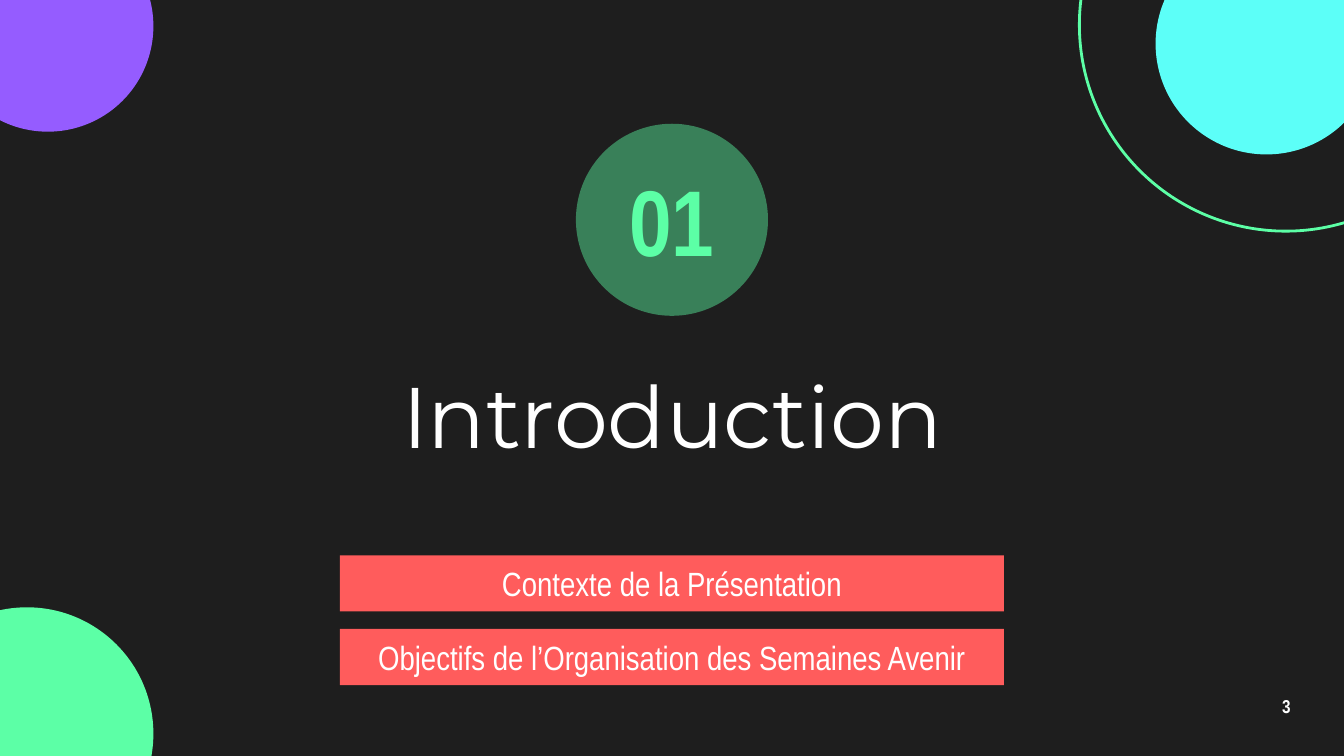
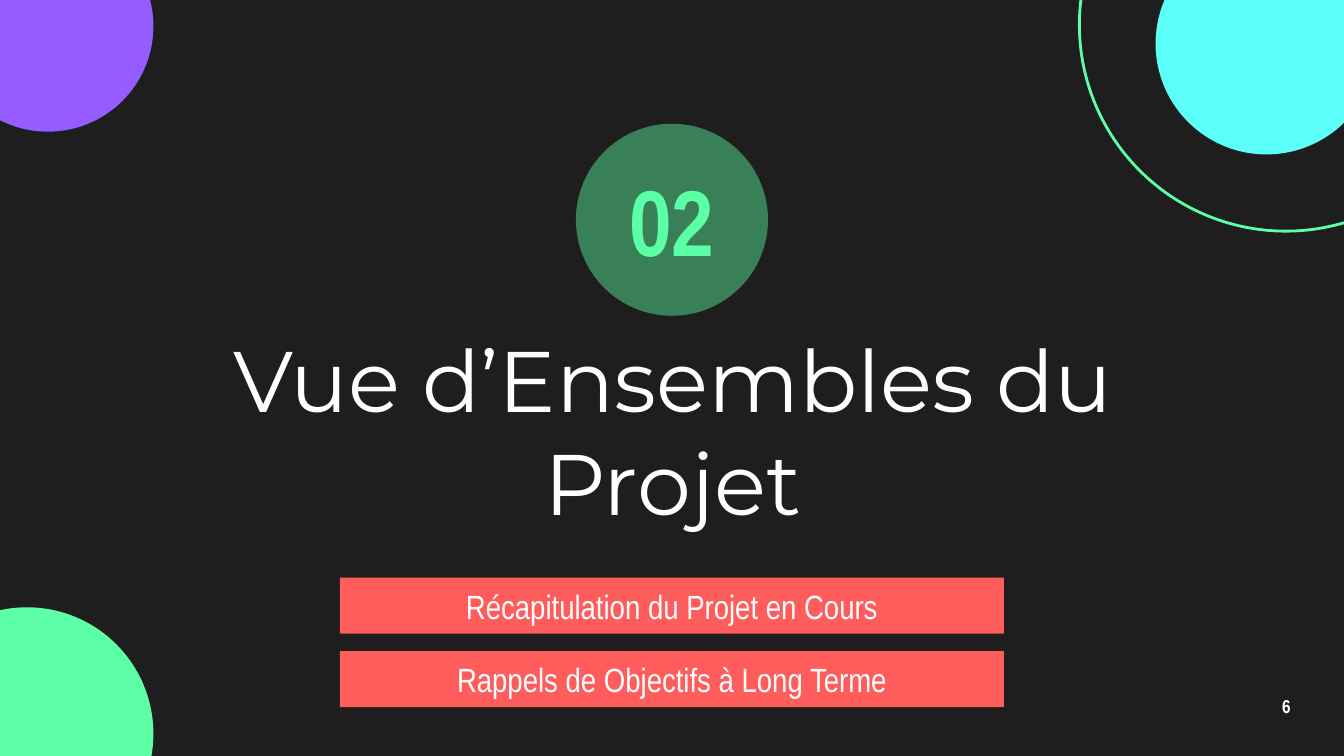
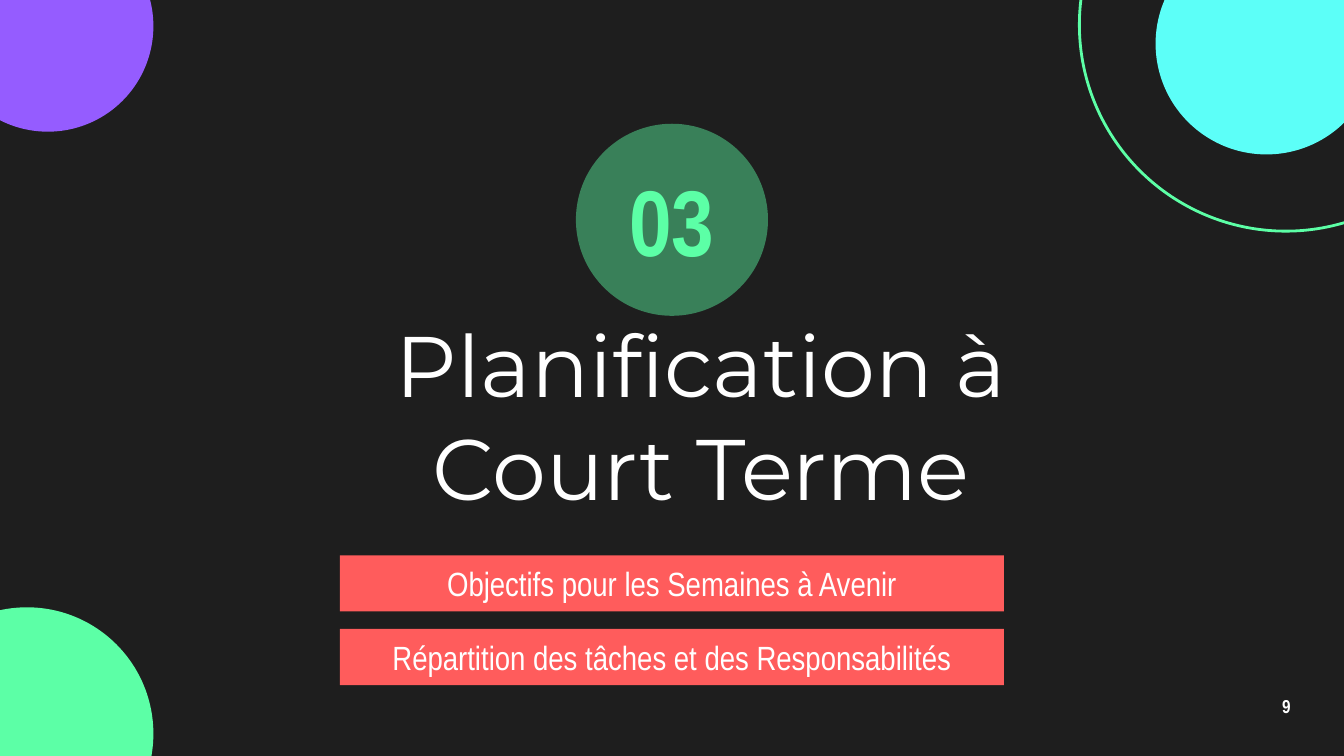
from dataclasses import dataclass

from lxml.etree import SubElement
from pptx import Presentation
from pptx.dml.color import RGBColor
from pptx.enum.shapes import MSO_SHAPE
from pptx.enum.text import MSO_ANCHOR, PP_ALIGN
from pptx.oxml.ns import qn
from pptx.util import Cm, Pt


# Theme: colours, fonts and type sizes
@dataclass(frozen=True)
class Theme:
    background: str = "1E1E1E"
    green: str = "5CFFA6"
    cyan: str = "5CFFF8"
    purple: str = "955CFF"
    coral: str = "FF5C5C"
    white: str = "FFFFFF"
    title_font: str = "Montserrat"
    body_font: str = "Arial Narrow"
    number_size: int = 50
    title_size: int = 46
    topic_size: int = 18
    page_size: int = 10
    badge_alpha: int = 44


WIDTH, HEIGHT = 25.4, 14.29
BADGE_SIZE = 3.63
TOPIC_WIDTH, TOPIC_HEIGHT, TOPIC_PITCH = 12.55, 1.06, 1.39
TITLE_HEIGHT = 3.63
INSET = 0.25


def write(shape, text, *, size, color, font, bold=False, spacing=None):
    """Put centred text in a shape or text box."""
    frame = shape.text_frame
    frame.word_wrap = True
    frame.vertical_anchor = MSO_ANCHOR.MIDDLE
    frame.margin_left = frame.margin_right = Cm(INSET)
    frame.margin_top = frame.margin_bottom = Cm(INSET)
    paragraph = frame.paragraphs[0]
    paragraph.alignment = PP_ALIGN.CENTER
    if spacing:
        paragraph.line_spacing = spacing
    run = paragraph.add_run()
    run.text = text
    run.font.name = font
    run.font.size = Pt(size)
    run.font.bold = bold
    run.font.color.rgb = RGBColor.from_string(color)


class Deck:
    def __init__(self, theme):
        self.theme = theme
        self.slide = None
        self.prs = Presentation()
        self.prs.slide_width, self.prs.slide_height = Cm(WIDTH), Cm(HEIGHT)
        backdrop = self.prs.slide_master.background.fill
        backdrop.solid()
        backdrop.fore_color.rgb = RGBColor.from_string(theme.background)

    def new_slide(self):
        self.slide = self.prs.slides.add_slide(self.prs.slide_layouts[6])
        self.decorate()

    def shape(self, kind, left, top, width, height, fill=None, line=None):
        shape = self.slide.shapes.add_shape(
            kind, Cm(left), Cm(top), Cm(width), Cm(height))
        shape.shadow.inherit = False
        if fill:
            shape.fill.solid()
            shape.fill.fore_color.rgb = RGBColor.from_string(fill)
        else:
            shape.fill.background()
        if line:
            shape.line.color.rgb = RGBColor.from_string(line)
            shape.line.width = Pt(1.5)
        else:
            shape.line.fill.background()
        return shape

    def circle(self, left, top, size, **paint):
        return self.shape(MSO_SHAPE.OVAL, left, top, size, size, **paint)

    def text(self, text, left, top, width, height, **style):
        box = self.slide.shapes.add_textbox(
            Cm(left), Cm(top), Cm(width), Cm(height))
        write(box, text, **style)

    def decorate(self):
        """Corner circles found on every slide."""
        self.circle(20.4, -3.43, 7.8, line=self.theme.green)
        self.circle(-1.88, 11.48, 4.78, fill=self.theme.green)
        self.circle(21.84, -1.27, 4.19, fill=self.theme.cyan)
        self.circle(-1.09, -1.5, 3.99, fill=self.theme.purple)

    def badge(self, number):
        theme = self.theme
        disc = self.circle((WIDTH - BADGE_SIZE) / 2, 2.34, BADGE_SIZE,
                           fill=theme.green)
        color = disc.element.spPr.find(f".//{qn('a:srgbClr')}")
        SubElement(color, qn("a:alpha"), val=str(theme.badge_alpha * 1000))
        self.text(number, 11.07, 3.07, 3.25, 2.13, size=theme.number_size,
                  color=theme.green, font=theme.body_font, bold=True)

    def title(self, title, left, top, width):
        self.text(title, left, top, width, TITLE_HEIGHT,
                  size=self.theme.title_size, color=self.theme.white,
                  font=self.theme.title_font)

    def topics(self, topics, top):
        left = (WIDTH - TOPIC_WIDTH) / 2
        for row, topic in enumerate(topics):
            bar = self.shape(MSO_SHAPE.RECTANGLE, left,
                             top + row * TOPIC_PITCH, TOPIC_WIDTH,
                             TOPIC_HEIGHT, fill=self.theme.coral)
            write(bar, topic, size=self.theme.topic_size,
                  color=self.theme.white, font=self.theme.body_font)

    def page_number(self, page):
        self.text(str(page), 23.55, 12.95, 1.52, 0.86,
                  size=self.theme.page_size, color=self.theme.white,
                  font=self.theme.body_font, bold=True, spacing=0.8)


# Sections: title, title place (left, top, width), topics, topics top, page
SECTIONS = [
    ("Introduction", (6.43, 6.02, 12.55),
     ["Contexte de la Présentation",
      "Objectifs de l’Organisation des Semaines Avenir"], 10.5, 3),
    ("Vue d’Ensembles du Projet", (3.94, 6.3, 17.55),
     ["Récapitulation du Projet en Cours",
      "Rappels de Objectifs à Long Terme"], 10.92, 6),
    ("Planification à Court Terme", (6.43, 6.02, 13.64),
     ["Objectifs pour les Semaines à Avenir",
      "Répartition des tâches et des Responsabilités"], 10.5, 9),
]


def main():
    deck = Deck(Theme())
    for number, (title, place, topics, topics_top, page) in enumerate(SECTIONS, 1):
        deck.new_slide()
        deck.badge(f"{number:02d}")
        deck.title(title, *place)
        deck.topics(topics, topics_top)
        deck.page_number(page)
    deck.prs.save("out.pptx")


if __name__ == "__main__":
    main()
